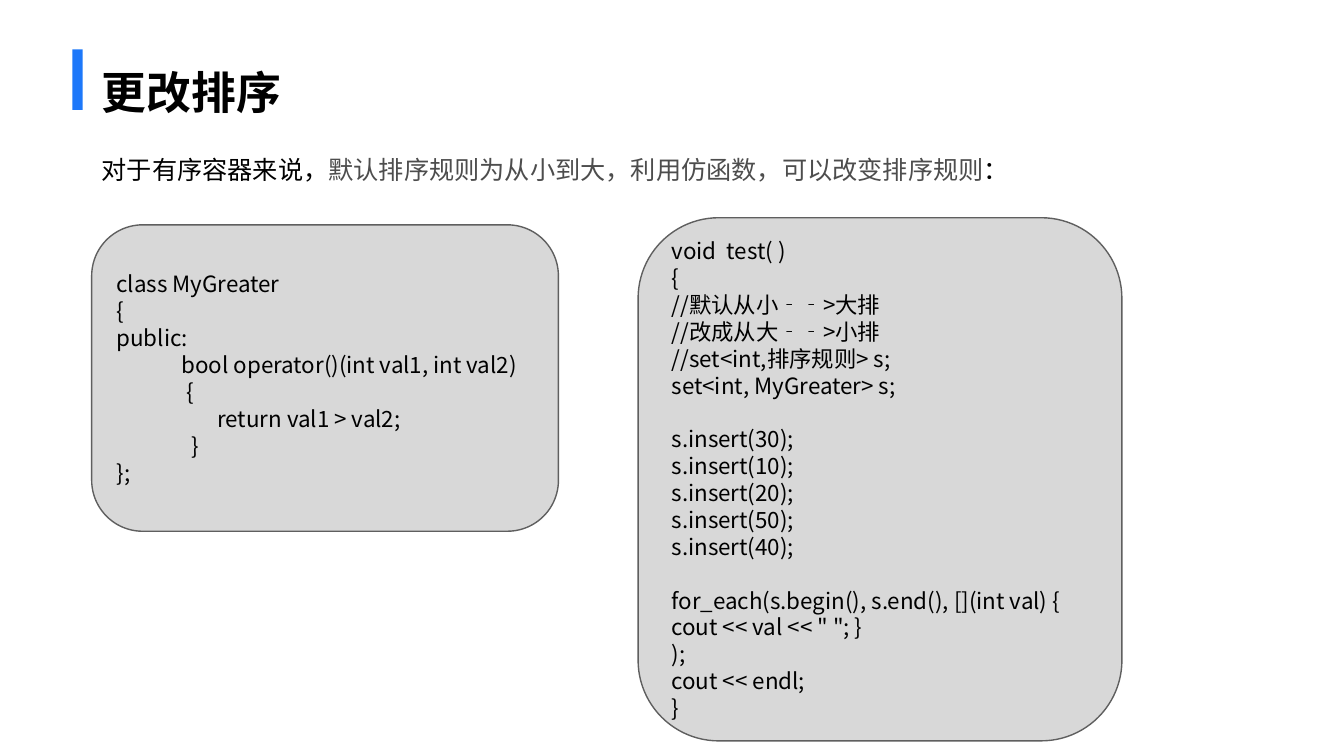
from dataclasses import dataclass

import lxml.etree
import pptx
import pptx.dml.color
import pptx.enum.shapes
import pptx.enum.text
import pptx.oxml.ns
import pptx.util

COLORS = {
    "accent": "1D78FA",
    "text": "000000",
    "muted": "4D4D4D",
    "panel": "D8D8D8",
    "border": "5F5F5F",
}
CHINESE_FONT = "Noto Sans CJK SC"
CODE_LINE = 19.2
SHAPES = pptx.enum.shapes.MSO_SHAPE


@dataclass(frozen=True)
class Box:
    left: float
    top: float
    width: float
    height: float

    def lengths(self) -> list:
        sides = (self.left, self.top, self.width, self.height)
        return [pptx.util.Pt(side) for side in sides]


@dataclass(frozen=True)
class Span:
    text: str
    font: str
    size: float
    color: str = "text"
    bold: bool = False


@dataclass(frozen=True)
class CodeLine:
    text: str
    indent: float = 0
    gap_lines: int = 0


@dataclass(frozen=True)
class CodePanel:
    box: Box
    lines: tuple


TITLE_BOX = Box(65.5, 36.7, 402.5, 49.7)
TITLE = (Span("更改排序", CHINESE_FONT, 32, bold=True),)
INTRO_BOX = Box(65.5, 106.5, 666, 28.8)
INTRO = (
    Span("对于有序容器来说，", "Arial", 18),
    Span("默认排序规则为从小到大，利用仿函数，可以改变排序规则", "Roboto", 18, "muted"),
    Span("：", "Arial", 18),
)
PANELS = (
    CodePanel(
        Box(65.5, 160.6, 333.4, 218.9),
        (
            CodeLine("class MyGreater"),
            CodeLine("{"),
            CodeLine("public:"),
            CodeLine("bool operator()(int val1, int val2)", 46.5),
            CodeLine("{", 50),
            CodeLine("return val1 > val2;", 72),
            CodeLine("}", 53.5),
            CodeLine("};"),
        ),
    ),
    CodePanel(
        Box(455.8, 155.5, 345.6, 373.7),
        (
            CodeLine("void  test( )"),
            CodeLine("{"),
            CodeLine("//默认从小‐‐>大排"),
            CodeLine("//改成从大‐‐>小排"),
            CodeLine("//set<int,排序规则> s;"),
            CodeLine("set<int, MyGreater> s;"),
            CodeLine("s.insert(30);", gap_lines=1),
            *(CodeLine(f"s.insert({value});") for value in (10, 20, 50, 40)),
            CodeLine("for_each(s.begin(), s.end(), [](int val) {", gap_lines=1),
            CodeLine('cout << val << " "; }'),
            CodeLine(");"),
            CodeLine("cout << endl;"),
            CodeLine("}"),
        ),
    ),
)


def rgb(name: str) -> pptx.dml.color.RGBColor:
    return pptx.dml.color.RGBColor.from_string(COLORS[name])


def apply_format(target, values: dict) -> None:
    for name, value in values.items():
        setattr(target, name, value)


def add_span(paragraph, span: Span) -> None:
    run = paragraph.add_run()
    run.text = span.text
    apply_format(run.font, {
        "name": span.font,
        "size": pptx.util.Pt(span.size),
        "bold": span.bold,
    })
    run.font.color.rgb = rgb(span.color)
    east_asian = lxml.etree.SubElement(
        run.font._element, pptx.oxml.ns.qn("a:ea")
    )
    east_asian.set("typeface", CHINESE_FONT)


def add_shape(slide, kind, box: Box, fill: str):
    shape = slide.shapes.add_shape(kind, *box.lengths())
    shape.shadow.inherit = False
    shape.fill.solid()
    shape.fill.fore_color.rgb = rgb(fill)
    shape.line.fill.background()
    return shape


def add_text(slide, box: Box, spans: tuple, line_spacing: float) -> None:
    frame = slide.shapes.add_textbox(*box.lengths()).text_frame
    apply_format(frame, {
        "word_wrap": True,
        "vertical_anchor": pptx.enum.text.MSO_ANCHOR.MIDDLE,
    })
    paragraph = frame.paragraphs[0]
    paragraph.line_spacing = line_spacing
    for span in spans:
        add_span(paragraph, span)


def add_code_panel(slide, panel: CodePanel) -> None:
    shape = add_shape(slide, SHAPES.ROUNDED_RECTANGLE, panel.box, "panel")
    shape.line.color.rgb = rgb("border")
    shape.line.width = pptx.util.Pt(1)
    frame = shape.text_frame
    apply_format(frame, {
        "word_wrap": True,
        "vertical_anchor": pptx.enum.text.MSO_ANCHOR.MIDDLE,
    })
    for index, line in enumerate(panel.lines):
        paragraph = frame.add_paragraph() if index else frame.paragraphs[0]
        apply_format(paragraph, {
            "alignment": pptx.enum.text.PP_ALIGN.LEFT,
            "line_spacing": pptx.util.Pt(CODE_LINE),
            "space_before": pptx.util.Pt(CODE_LINE * line.gap_lines),
        })
        if line.indent:
            properties = paragraph._p.get_or_add_pPr()
            properties.set("marL", str(pptx.util.Pt(line.indent)))
        add_span(paragraph, Span(line.text, CHINESE_FONT, 16))


def main() -> None:
    presentation = pptx.Presentation()
    presentation.slide_width = pptx.util.Pt(960)
    presentation.slide_height = pptx.util.Pt(540)
    slide = presentation.slides.add_slide(presentation.slide_layouts[6])
    add_shape(slide, SHAPES.RECTANGLE, Box(51.8, 35.3, 7.2, 43.2), "accent")
    add_text(slide, TITLE_BOX, TITLE, 1.2)
    add_text(slide, INTRO_BOX, INTRO, 1.0)
    for panel in PANELS:
        add_code_panel(slide, panel)
    presentation.save("out.pptx")


if __name__ == "__main__":
    main()
